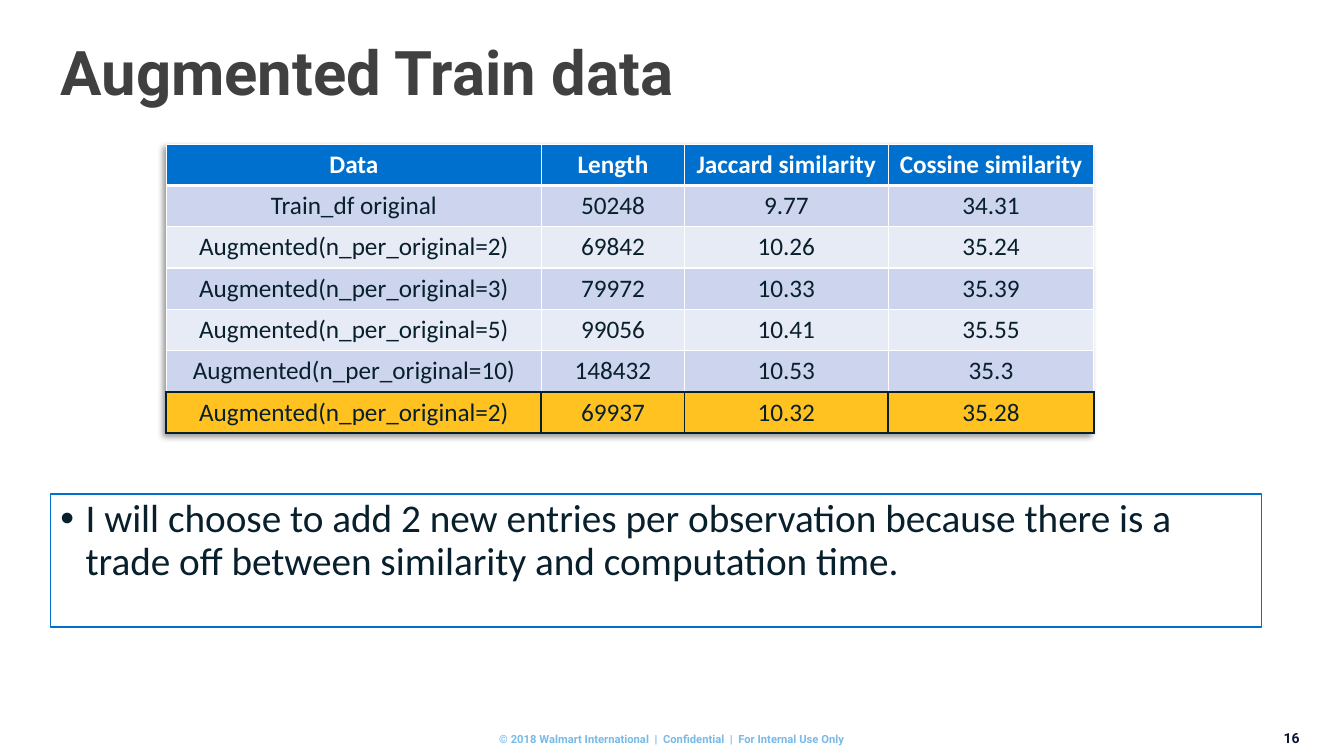
from lxml import etree
from pptx import Presentation
from pptx import util as u
from pptx.dml.color import RGBColor
from pptx.enum import shapes, text
from pptx.oxml import ns

PX = u.Inches(1) // 100
COLORS = {
    "white": "FFFFFF", "blue": "0070CE", "ink": "081F2C", "title": "404041",
    "navy": "0B1438", "sky": "78B9E7", "band": "CCD5ED", "pale": "E7EBF6",
    "gold": "FFC220",
}
ALIGN = text.PP_ALIGN
ANCHOR = text.MSO_ANCHOR
HEADERS = ["Data", "Length", "Jaccard similarity", "Cossine similarity"]
RESULTS = [
    ["Train_df original", "50248", "9.77", "34.31"],
    ["Augmented(n_per_original=2)", "69842", "10.26", "35.24"],
    ["Augmented(n_per_original=3)", "79972", "10.33", "35.39"],
    ["Augmented(n_per_original=5)", "99056", "10.41", "35.55"],
    ["Augmented(n_per_original=10)", "148432", "10.53", "35.3"],
    ["Augmented(n_per_original=2)", "69937", "10.32", "35.28"],
]


def color(name):
    return RGBColor.from_string(COLORS[name])


def scaled(box):
    return [length * PX for length in box]


def add_child(parent, tag, **attributes):
    return etree.SubElement(parent, ns.qn(tag), attributes)


def write(frame, words, size, ink, font="Calibri", bold=False, align=ALIGN.LEFT,
          anchor=ANCHOR.TOP, spacing=None, bullet=None, margin=None):
    frame.word_wrap = True
    frame.auto_size = text.MSO_AUTO_SIZE.NONE
    frame.vertical_anchor = anchor
    if margin is not None:
        frame.margin_left = frame.margin_right = margin
        frame.margin_top = frame.margin_bottom = margin
    para = frame.paragraphs[0]
    para.alignment = align
    if bullet:
        properties = para._p.get_or_add_pPr()
        properties.set("marL", str(25 * PX))
        properties.set("indent", str(-25 * PX))
        add_child(properties, "a:buFont", typeface="Arial")
        add_child(properties, "a:buChar", char=bullet)
    if spacing:
        para.line_spacing = spacing
    span = para.add_run()
    span.text = words
    span.font.name = font
    span.font.size = u.Pt(size)
    span.font.bold = bold
    span.font.color.rgb = color(ink)


def add_title(page, box):
    title = page.shapes.title
    title.left, title.top, title.width, title.height = scaled(box)
    write(title.text_frame, "Augmented Train data", 44, "title", font="Roboto",
          bold=True, anchor=ANCHOR.MIDDLE, spacing=0.9)


def set_borders(cell, edges):
    properties = cell._tc.get_or_add_tcPr()
    for place, (side, (name, width)) in enumerate(edges.items()):
        line = etree.Element(ns.qn(f"a:ln{side}"), w=str(u.Pt(width)))
        fill = add_child(line, "a:solidFill")
        add_child(fill, "a:srgbClr", val=COLORS[name])
        properties.insert(place, line)


def add_table_shadow(table):
    effects = etree.Element(ns.qn("a:effectLst"))
    shadow = add_child(effects, "a:outerShdw", blurRad="50800", dist="38100",
                       dir="8100000", algn="tr", rotWithShape="0")
    black = add_child(shadow, "a:srgbClr", val="000000")
    add_child(black, "a:alpha", val="40000")
    table._tbl.tblPr.insert(0, effects)


def add_results(page, box):
    rows = [HEADERS, *RESULTS]
    last = len(rows) - 1
    table = page.shapes.add_table(len(rows), len(HEADERS), *scaled(box)).table
    add_table_shadow(table)
    for column, width in zip(table.columns, [372, 142, 202, 204]):
        column.width = width * PX
    for r, values in enumerate(rows):
        if r == 0:
            fill = "blue"
        elif r == last:
            fill = "gold"
        else:
            fill = "band" if r % 2 else "pale"
        edge = ("ink", 1.5) if r == last else ("white", 1)
        edges = dict.fromkeys("LRTB", edge)
        if r == 0:
            edges["B"] = ("white", 3)
        elif r == 1:
            edges["T"] = ("white", 3)
        elif r == last - 1:
            edges["B"] = ("ink", 1.5)
        for c, value in enumerate(values):
            cell = table.cell(r, c)
            cell.fill.solid()
            cell.fill.fore_color.rgb = color(fill)
            set_borders(cell, edges)
            write(cell.text_frame, value, 18, "ink" if r else "white",
                  bold=r == 0, align=ALIGN.CENTER)


def add_conclusion(page, box):
    panel = page.shapes.add_shape(shapes.MSO_SHAPE.RECTANGLE, *scaled(box))
    panel.shadow.inherit = False
    panel.fill.solid()
    panel.fill.fore_color.rgb = color("white")
    panel.line.color.rgb = color("blue")
    panel.line.width = u.Pt(1)
    write(panel.text_frame,
          "I will choose to add 2 new entries per observation because there is a "
          "trade off between similarity and computation time.",
          28, "ink", spacing=0.9, bullet="•")


def add_footer(page, box):
    left, top, width, height = box
    notice = page.shapes.add_textbox(*scaled((left + 455, top + 3, 423, 13)))
    write(notice.text_frame,
          "© 2018 Walmart International  |  Confidential  |  For Internal Use Only",
          8, "sky", font="Roboto", bold=True, align=ALIGN.CENTER, margin=0)
    number = page.shapes.add_textbox(*scaled((left + width - 74, top, 30, height)))
    write(number.text_frame, "16", 10, "navy", font="Roboto", bold=True,
          align=ALIGN.RIGHT, margin=0)


def main():
    deck = Presentation()
    deck.slide_width, deck.slide_height = scaled((1333, 750))
    page = deck.slides.add_slide(deck.slide_layouts.get_by_name("Title Only"))
    add_title(page, (50, 32, 1150, 85))
    add_results(page, (165, 143, 920, 287))
    add_conclusion(page, (50, 490, 1201, 132))
    add_footer(page, (0, 724, 1333, 17))
    deck.save("out.pptx")


if __name__ == "__main__":
    main()
